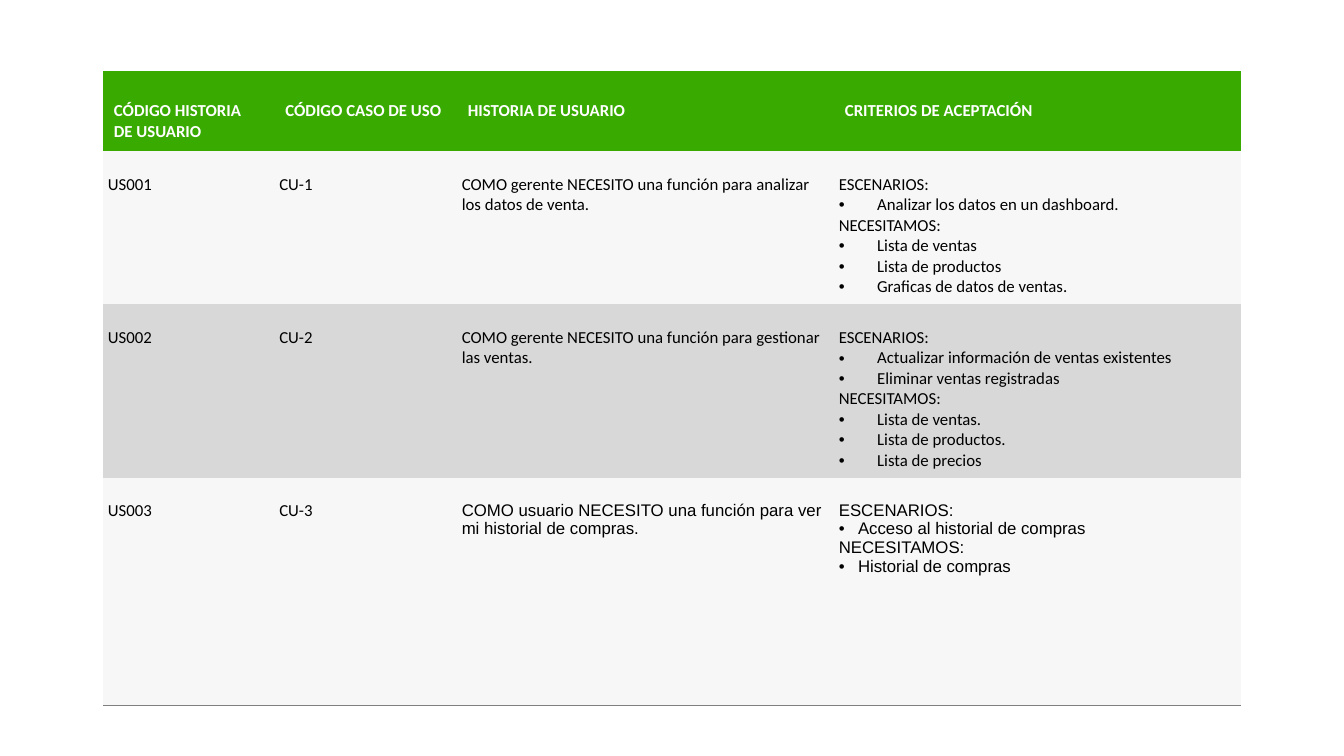
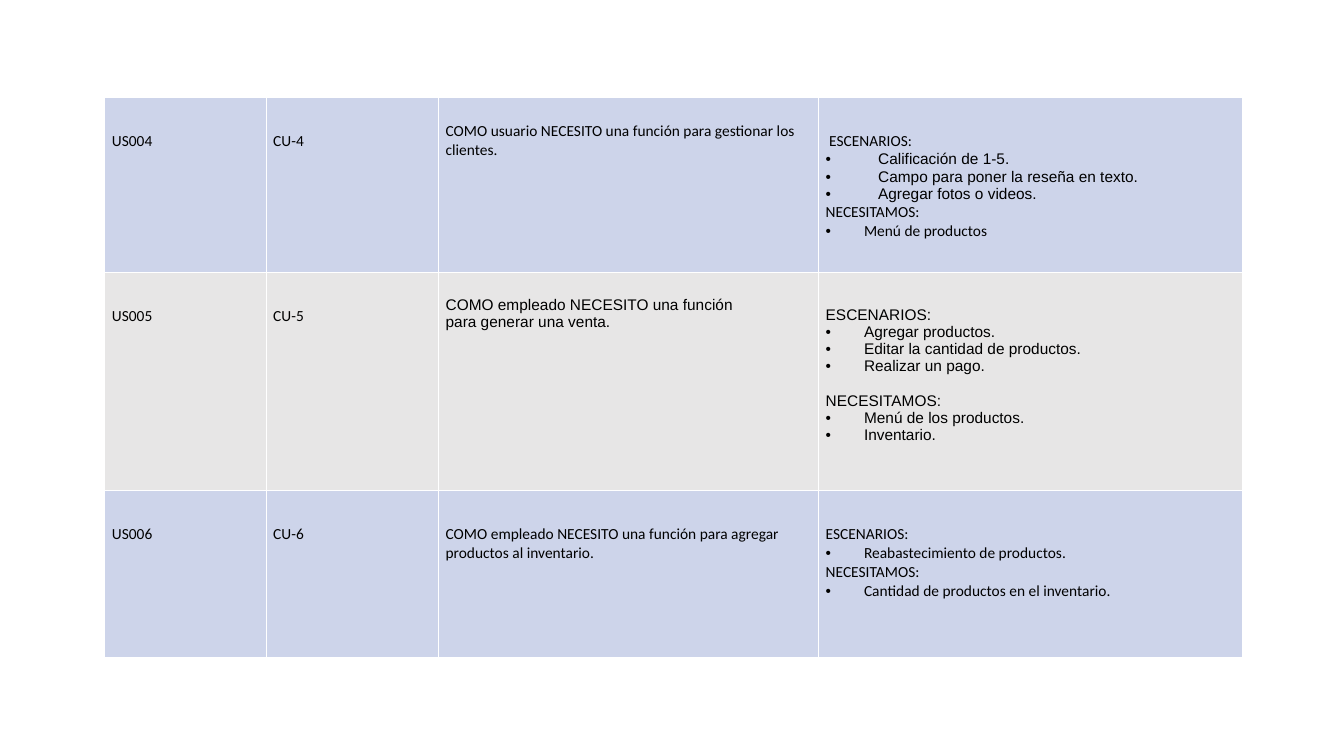
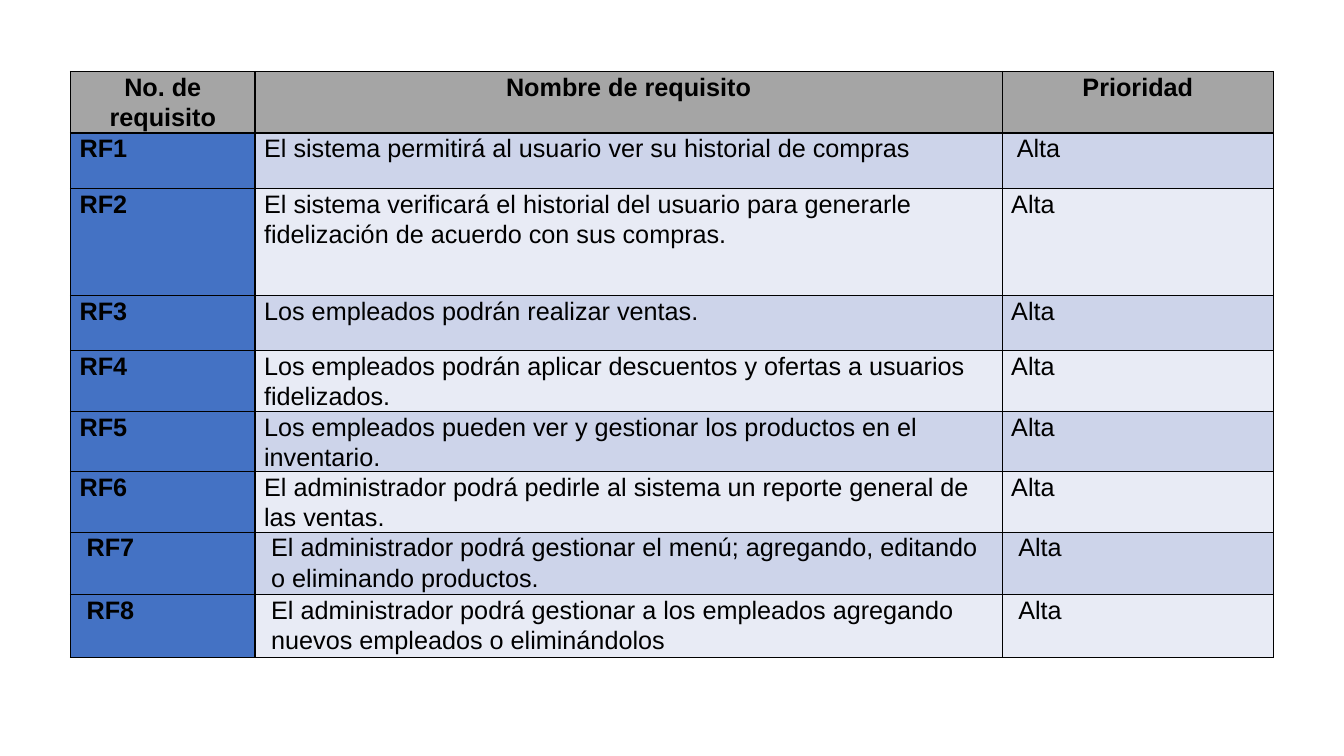
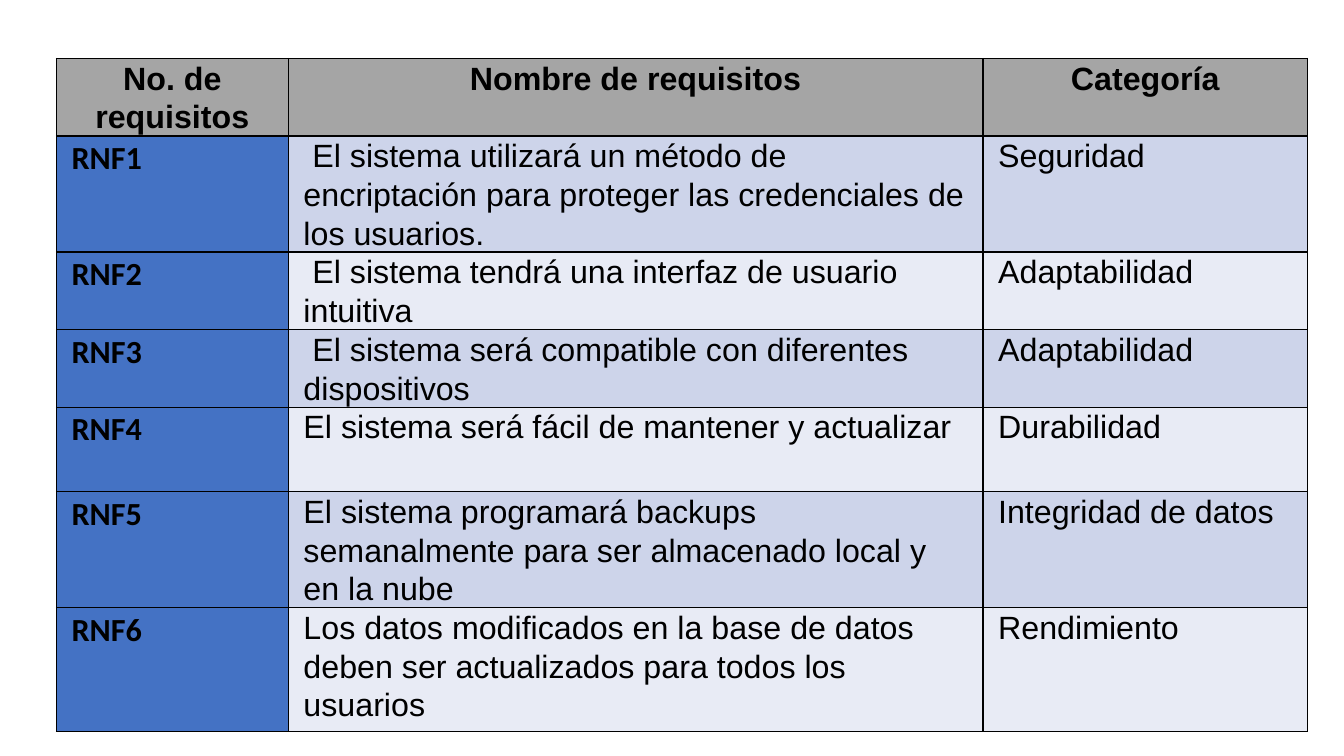
from dataclasses import dataclass

from lxml.etree import SubElement
from pptx import Presentation
from pptx.dml.color import RGBColor
from pptx.enum.text import PP_ALIGN as Align
from pptx.oxml.ns import qn
from pptx.util import Inches, Pt

COLORS = {
    "black": "000000", "white": "FFFFFF", "green": "38AA00", "rule": "7F7F7F",
    "pale": "F7F7F7", "silver": "D8D8D8", "lavender": "CDD4EA", "mist": "E8EBF5",
    "warm": "E7E6E6", "blue": "4472C4", "gray": "A5A5A5",
}
PLAIN_TABLE = "{2D5ABB26-0587-4C30-8999-92F81FD0307C}"
SANS, BODY = "Arial", "Calibri"
LINE_SPACING = 1.07


@dataclass
class Criteria:
    heading: str
    items: list
    indent: float = 0.38
    item_font: str = None
    gap: float = 0


@dataclass
class Story:
    code: str
    case: str
    text: str
    criteria: list
    font: str = BODY


STORY_HEADINGS = ["CÓDIGO HISTORIA DE USUARIO", "CÓDIGO CASO DE USO",
                  "HISTORIA DE USUARIO", "CRITERIOS DE ACEPTACIÓN"]

MANAGER_STORIES = [
    Story("US001", "CU-1",
          "COMO gerente NECESITO una función para analizar los datos de venta.",
          [Criteria("ESCENARIOS:", ["Analizar los datos en un dashboard."]),
           Criteria("NECESITAMOS:", ["Lista de ventas", "Lista de productos",
                                     "Graficas de datos de ventas."])]),
    Story("US002", "CU-2",
          "COMO gerente NECESITO una función para gestionar las ventas.",
          [Criteria("ESCENARIOS:", ["Actualizar información de ventas existentes",
                                    "Eliminar ventas registradas"]),
           Criteria("NECESITAMOS:", ["Lista de ventas.", "Lista de productos.",
                                     "Lista de precios"])]),
    Story("US003", "CU-3",
          "COMO usuario NECESITO una función para ver mi historial de compras.",
          [Criteria("ESCENARIOS:", ["Acceso al historial de compras"], 0.19),
           Criteria("NECESITAMOS:", ["Historial de compras"], 0.19)], SANS),
]

EMPLOYEE_STORIES = [
    Story("US004", "CU-4",
          "COMO usuario NECESITO una función para gestionar los clientes.",
          [Criteria(" ESCENARIOS:", ["Calificación de 1-5.",
                                     "Campo para poner la reseña en texto.",
                                     "Agregar fotos o videos."], 0.52, SANS),
           Criteria("NECESITAMOS:", ["Menú de productos"])]),
    Story("US005", "CU-5",
          "COMO empleado NECESITO una función para generar una venta.",
          [Criteria("ESCENARIOS:", ["Agregar productos.",
                                    "Editar la cantidad de productos.",
                                    "Realizar un pago."]),
           Criteria("NECESITAMOS:", ["Menú de los productos.", "Inventario."],
                    gap=12.65)], SANS),
    Story("US006", "CU-6",
          "COMO empleado NECESITO una función para agregar productos al inventario.",
          [Criteria("ESCENARIOS:", ["Reabastecimiento de productos."]),
           Criteria("NECESITAMOS:", ["Cantidad de productos en el inventario."])]),
]

FUNCTIONAL = [
    ("No. de requisito", "Nombre de requisito", "Prioridad"),
    ("RF1", "El sistema permitirá al usuario ver su historial de compras", " Alta"),
    ("RF2", "El sistema verificará el historial del usuario para generarle "
            "fidelización de acuerdo con sus compras.", "Alta"),
    ("RF3", "Los empleados podrán realizar ventas.", "Alta"),
    ("RF4", "Los empleados podrán aplicar descuentos y ofertas a usuarios "
            "fidelizados.", "Alta"),
    ("RF5", "Los empleados pueden ver y gestionar los productos en el "
            "inventario.", "Alta"),
    ("RF6", "El administrador podrá pedirle al sistema un reporte general de "
            "las ventas.", "Alta"),
    ("RF7", "El administrador podrá gestionar el menú; agregando, editando o "
            "eliminando productos.", "Alta"),
    ("RF8", "El administrador podrá gestionar a los empleados agregando nuevos "
            "empleados o eliminándolos", "Alta"),
]

NON_FUNCTIONAL = [
    ("No. de requisitos", "Nombre de requisitos", "Categoría"),
    ("RNF1", " El sistema utilizará un método de encriptación para proteger las "
             "credenciales de los usuarios.", "Seguridad"),
    ("RNF2", " El sistema tendrá una interfaz de usuario intuitiva", "Adaptabilidad"),
    ("RNF3", " El sistema será compatible con diferentes dispositivos",
     "Adaptabilidad"),
    ("RNF4", "El sistema será fácil de mantener y actualizar", "Durabilidad"),
    ("RNF5", "El sistema programará backups semanalmente para ser almacenado "
             "local y en la nube", "Integridad de datos"),
    ("RNF6", "Los datos modificados en la base de datos deben ser actualizados "
             "para todos los usuarios", "Rendimiento"),
]


def color(name):
    return RGBColor.from_string(COLORS[name])


def add_plain_table(slide, left, top, widths, heights):
    """Add a table without style, sized by its column widths and row heights."""
    frame = slide.shapes.add_table(
        len(heights), len(widths), Inches(left), Inches(top),
        Inches(sum(widths)), Inches(sum(heights)))
    next(frame.element.iter(qn("a:tableStyleId"))).text = PLAIN_TABLE
    table = frame.table
    table.first_row = table.horz_banding = False
    for column, width in zip(table.columns, widths):
        column.width = Inches(width)
    for row, height in zip(table.rows, heights):
        row.height = Inches(height)
    return table


def format_cell(cell, fill, margins):
    """Fill the cell and set its margins: left, top, right, bottom."""
    cell.fill.solid()
    cell.fill.fore_color.rgb = color(fill)
    for side, margin in zip(("left", "top", "right", "bottom"), margins):
        setattr(cell, f"margin_{side}", Inches(margin))


def add_borders(cell, name, width, sides="LRTB"):
    properties = cell._tc.get_or_add_tcPr()
    for position, side in enumerate(sides):
        line = SubElement(properties, qn(f"a:ln{side}"), w=str(Pt(width)))
        solid = SubElement(line, qn("a:solidFill"))
        SubElement(solid, qn("a:srgbClr"), val=COLORS[name])
        properties.insert(position, line)


def add_text(cell, text, font, size, ink="black", bold=False, indent=0, **layout):
    """Write one paragraph; an indent makes it a bullet, layout sets its attributes."""
    frame = cell.text_frame
    paragraph = frame.add_paragraph() if cell.text else frame.paragraphs[0]
    run = paragraph.add_run()
    run.text = text
    for name, value in {"name": font, "size": Pt(size), "bold": bold}.items():
        setattr(run.font, name, value)
    run.font.color.rgb = color(ink)
    for name, value in layout.items():
        setattr(paragraph, name, value)
    if indent:
        properties = paragraph._p.get_or_add_pPr()
        properties.set("marL", str(Inches(indent)))
        properties.set("indent", str(-Inches(indent)))
        SubElement(properties, qn("a:buFont"), typeface=SANS)
        SubElement(properties, qn("a:buChar"), char="•")


def add_criteria(cell, groups, font, size):
    for group in groups:
        add_text(cell, group.heading, font, size, space_before=Pt(group.gap))
        for item in group.items:
            add_text(cell, item, group.item_font or font, size, indent=group.indent)


def fill_story_row(cells, story, size, fill, margins, story_top):
    left, top, right, bottom = margins
    for index, cell in enumerate(cells):
        cell_top = story_top if index == 2 else top
        format_cell(cell, fill, (left, cell_top, right, bottom))
    code, case, text, criteria = cells
    add_text(code, story.code, BODY, size)
    add_text(case, story.case, BODY, size)
    add_text(text, story.text, story.font, size)
    add_criteria(criteria, story.criteria, story.font, size)


def add_manager_stories(slide, left, top):
    table = add_plain_table(slide, left, top, [1.7, 1.81, 3.74, 4.04],
                            [0.8, 1.52, 1.72, 2.26])
    header, *rows = [list(row.cells) for row in table.rows]
    for cell, heading in zip(header, STORY_HEADINGS):
        format_cell(cell, "green", (0.11, 0.3, 0.11, 0.08))
        add_text(cell, heading, BODY, 12, "white", True)
    for cells, story, fill in zip(rows, MANAGER_STORIES, ("pale", "silver", "pale")):
        fill_story_row(cells, story, 12, fill, (0.05, 0.23, 0.05, 0.05), 0.23)
    for cell in rows[-1]:
        add_borders(cell, "rule", 1, "B")


def add_employee_stories(slide, left, top):
    table = add_plain_table(slide, left, top, [1.6, 1.71, 3.77, 4.2],
                            [1.73, 2.17, 1.65])
    fills = ("lavender", "warm", "lavender")
    for row, story, fill in zip(table.rows, EMPLOYEE_STORIES, fills):
        story_top = 0.34 if story.code == "US006" else 0.24
        fill_story_row(list(row.cells), story, 11, fill,
                       (0.07, 0.34, 0.07, 0.05), story_top)
    # The wider right margin keeps "para" on the second line.
    table.cell(1, 2).margin_right = Inches(0.6)
    for cell in table.iter_cells():
        add_borders(cell, "white", 0.75)


def add_requirements(slide, left, top, widths, heights, rows, size, code_font, margins):
    """Add a requirements table; margins holds the side margin of each row."""
    table = add_plain_table(slide, left, top, widths, heights)
    for index, (row, texts, margin) in enumerate(zip(table.rows, rows, margins)):
        band = "lavender" if index % 2 else "mist"
        for column, (cell, text) in enumerate(zip(row.cells, texts)):
            is_header, is_code = index == 0, column == 0
            fill = "gray" if is_header else "blue" if is_code else band
            format_cell(cell, fill, (margin, 0, margin, 0))
            add_text(cell, text, code_font if is_code and not is_header else SANS,
                     size, bold=is_header or is_code, line_spacing=LINE_SPACING,
                     alignment=Align.CENTER if is_header else Align.LEFT)
            add_borders(cell, "black", 1)


def main():
    presentation = Presentation()
    presentation.slide_width, presentation.slide_height = Inches(13.33), Inches(7.5)
    blank = presentation.slide_layouts[6]
    managers, employees, functional, non_functional = [
        presentation.slides.add_slide(blank) for _ in range(4)]
    add_manager_stories(managers, 1.02, 0.7)
    add_employee_stories(employees, 1.04, 0.97)
    add_requirements(functional, 0.7, 0.71, [1.83, 7.41, 2.69],
                     [0.61, 0.55, 1.06, 0.55, 0.6, 0.6, 0.6, 0.62, 0.62],
                     FUNCTIONAL, 18, SANS, [0.09] * 7 + [0.16] * 2)
    add_requirements(non_functional, 0.56, 0.58, [2.3, 6.89, 3.22],
                     [0.77, 1.15, 0.77, 0.77, 0.84, 1.15, 1.23],
                     NON_FUNCTIONAL, 23, BODY, [0.15] * 7)
    presentation.save("out.pptx")


if __name__ == "__main__":
    main()
